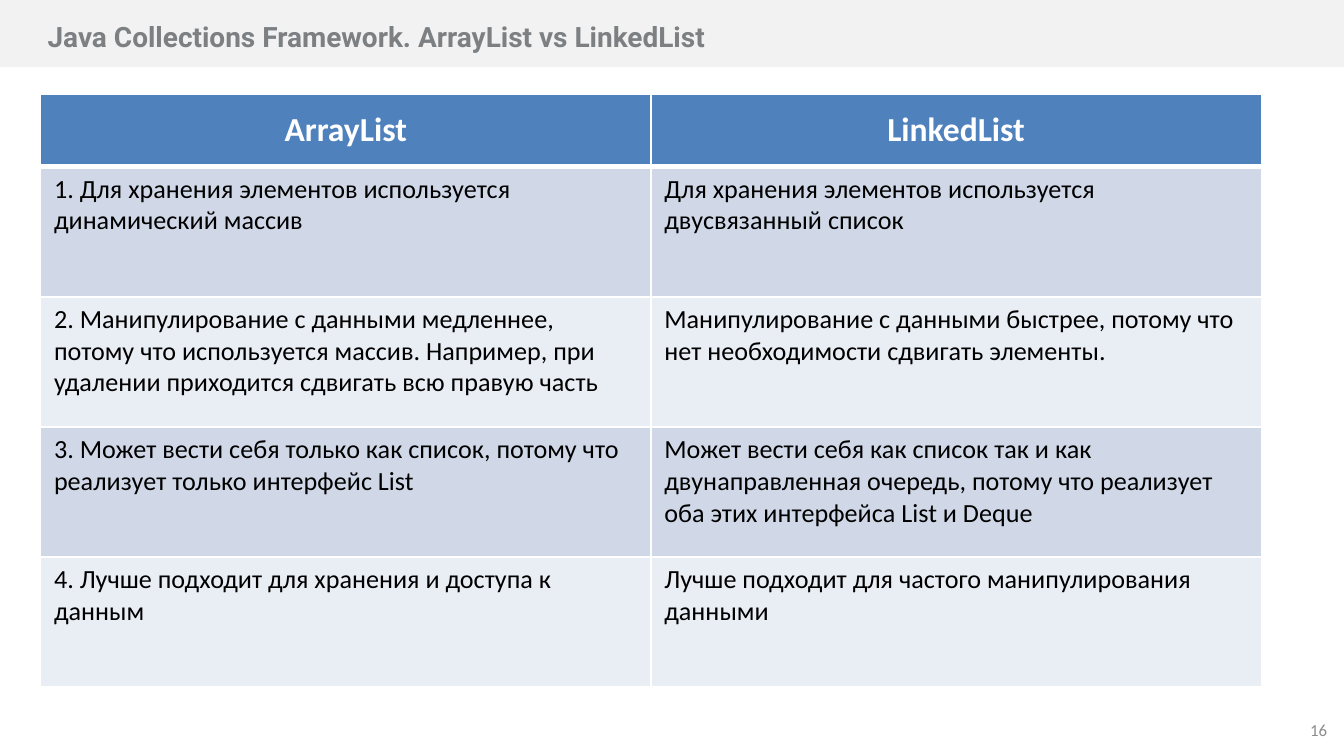
import pptx
import pptx.util
import pptx.dml.color
import pptx.enum.shapes
import pptx.enum.text
import pptx.oxml
import pptx.oxml.ns
from dataclasses import dataclass

PX = 9525
ALIGN = pptx.enum.text.PP_ALIGN
ANCHOR = pptx.enum.text.MSO_ANCHOR


@dataclass(frozen=True)
class Theme:
    band: str = "F2F2F2"
    title: str = "7D8083"
    number: str = "8C8C8C"
    header: str = "4F81BD"
    rows: tuple = ("D0D8E8", "E9EDF4")
    white: str = "FFFFFF"
    body: str = "000000"
    title_font: str = "Roboto"
    body_font: str = "Calibri"
    title_size: int = 15
    header_size: int = 18
    body_size: int = 14
    number_size: int = 9


theme = Theme()


def write(tf, text, size, color, font=theme.body_font, bold=False, align=ALIGN.LEFT):
    tf.text = text
    p = tf.paragraphs[0]
    p.alignment = align
    r = p.runs[0]
    r.font.name = font
    r.font.size = pptx.util.Pt(size)
    r.font.bold = bold
    r.font.color.rgb = pptx.dml.color.RGBColor.from_string(color)


def add_borders(cell, widths):
    tc_pr = cell._tc.get_or_add_tcPr()
    for i, (side, width) in enumerate(widths.items()):
        tc_pr.insert(i, pptx.oxml.parse_xml(
            f'<a:ln{side} {pptx.oxml.ns.nsdecls("a")} w="{pptx.util.Pt(width)}">'
            f'<a:solidFill><a:srgbClr val="{theme.white}"/></a:solidFill></a:ln{side}>'))


prs = pptx.Presentation()
prs.slide_width = 960 * PX
prs.slide_height = 540 * PX
s = prs.slides.add_slide(prs.slide_layouts[5])

title = s.shapes.title
title.left, title.top, title.width, title.height = [v * PX for v in (26, 10, 779, 32)]
write(title.text_frame, "Java Collections Framework. ArrayList vs LinkedList",
      theme.title_size, theme.title, theme.title_font, True)

band = s.shapes.add_shape(pptx.enum.shapes.MSO_SHAPE.RECTANGLE, 0, 0, 960 * PX, 48 * PX)
band.shadow.inherit = False
band.fill.solid()
band.fill.fore_color.rgb = pptx.dml.color.RGBColor.from_string(theme.band)
band.line.fill.background()
title._element.addprevious(band._element)

number = s.shapes.add_textbox(732 * PX, 507 * PX, 224 * PX, 29 * PX)
write(number.text_frame, "16", theme.number_size, theme.number, align=ALIGN.RIGHT)

for sp in (title, number):
    tf = sp.text_frame
    tf.word_wrap = True
    tf.auto_size = pptx.enum.text.MSO_AUTO_SIZE.NONE
    tf.vertical_anchor = ANCHOR.MIDDLE
    tf.margin_left = tf.margin_right = 8 * PX
    tf.margin_top = tf.margin_bottom = 4 * PX

rows = [
    ("ArrayList", "LinkedList"),
    ("1. Для хранения элементов используется динамический массив",
     "Для хранения элементов используется двусвязанный список"),
    ("2. Манипулирование с данными медленнее, потому что используется массив. "
     "Например, при удалении приходится сдвигать всю правую часть",
     "Манипулирование с данными быстрее, потому что нет необходимости сдвигать элементы."),
    ("3. Может вести себя только как список, потому что реализует только интерфейс List",
     "Может вести себя как список так и как двунаправленная очередь, "
     "потому что реализует оба этих интерфейса List и Deque"),
    ("4. Лучше подходит для хранения и доступа к данным",
     "Лучше подходит для частого манипулирования данными"),
]
header_height, row_height = 52, 93
table_height = header_height + row_height * (len(rows) - 1)
table = s.shapes.add_table(len(rows), 2, 29 * PX, 67 * PX, 872 * PX, table_height * PX).table

for i, texts in enumerate(rows):
    is_header = i == 0
    table.rows[i].height = (header_height if is_header else row_height) * PX
    for j, text in enumerate(texts):
        cell = table.cell(i, j)
        cell.fill.solid()
        fill = theme.header if is_header else theme.rows[(i - 1) % 2]
        cell.fill.fore_color.rgb = pptx.dml.color.RGBColor.from_string(fill)
        if is_header:
            cell.vertical_anchor = ANCHOR.MIDDLE
            write(cell.text_frame, text, theme.header_size, theme.white,
                  bold=True, align=ALIGN.CENTER)
        else:
            cell.vertical_anchor = ANCHOR.TOP
            write(cell.text_frame, text, theme.body_size, theme.body)
        add_borders(cell, {"L": 1, "R": 1, "T": 3 if i == 1 else 1, "B": 3 if is_header else 1})

prs.save("out.pptx")
